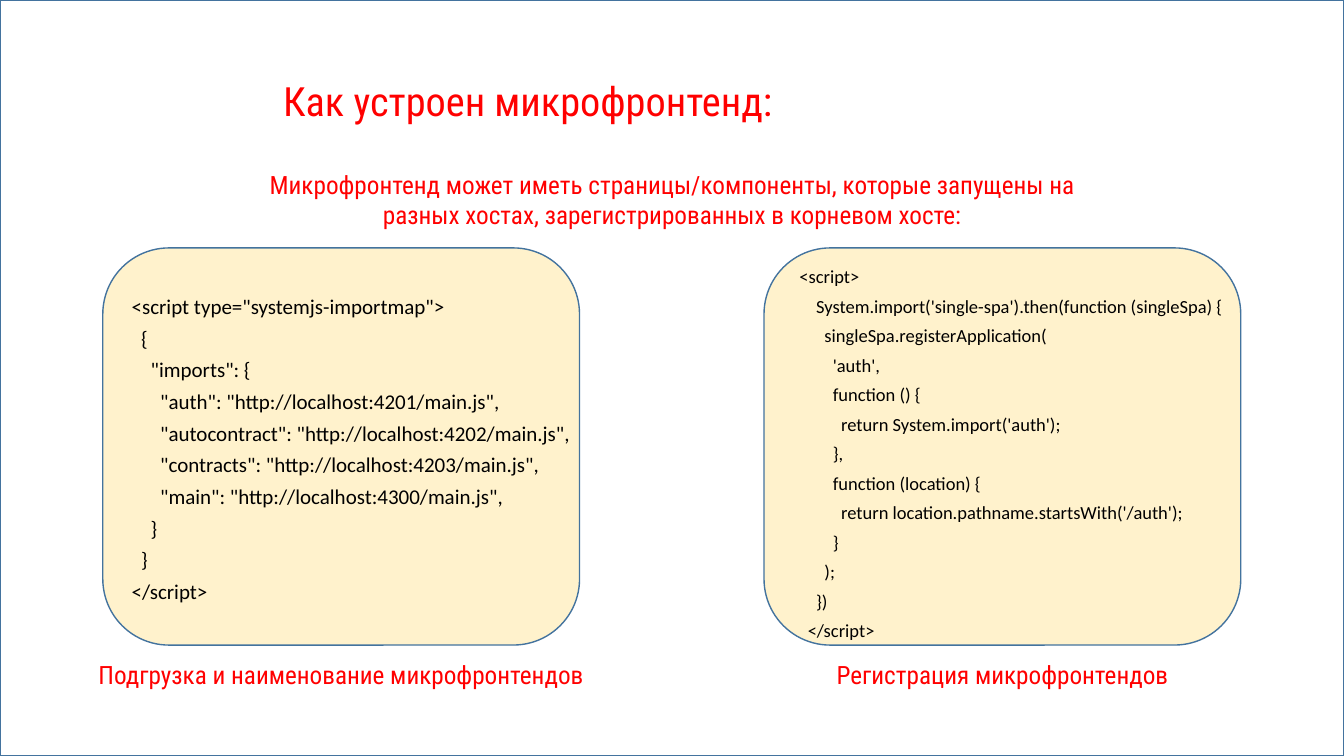
from dataclasses import dataclass

from pptx import Presentation
from pptx.dml.color import RGBColor as RGB
from pptx.enum.shapes import MSO_SHAPE as SHAPE
from pptx.enum.text import MSO_ANCHOR as ANCHOR
from pptx.enum.text import MSO_AUTO_SIZE as AUTO
from pptx.enum.text import PP_ALIGN as ALIGN
from pptx.slide import Slide
from pptx.text.text import TextFrame
from pptx.util import Pt

COLORS = {"page": "FFFFFF", "card": "FFF2CC", "line": "43739E",
          "accent": "FF0000", "code": "000000"}
HEAD_FONT, CODE_FONT = "Roboto Condensed", "Calibri"
WIDTH, HEIGHT = 960, 540
CARD_TOP, CARD_W, CARD_H = 177.12, 340.56, 283.68
CAPTION_TOP, CAPTION_H = 467.28, 51.12
STEP_EM = 0.452


@dataclass(frozen=True)
class Box:
    x: float
    y: float
    w: float
    h: float


@dataclass(frozen=True)
class Line:
    level: int
    text: str


@dataclass(frozen=True)
class Panel:
    card_x: float
    code_box: Box
    size: float
    lines: tuple[Line, ...]
    caption_box: Box
    caption: str


PANELS = (
    Panel(73.44, Box(73.44, 210.96, 355.68, 249.84), 15, (
        Line(2, '<script type="systemjs-importmap">'),
        Line(3, "{"),
        Line(4, '"imports": {'),
        Line(5, '"auth": "http://localhost:4201/main.js",'),
        Line(5, '"autocontract": "http://localhost:4202/main.js",'),
        Line(5, '"contracts": "http://localhost:4203/main.js",'),
        Line(5, '"main": "http://localhost:4300/main.js",'),
        Line(4, "}"),
        Line(3, "}"),
        Line(2, "</script>"),
    ), Box(51.12, CAPTION_TOP, 385.2, CAPTION_H),
        "Подгрузка и наименование микрофронтендов"),
    Panel(545.76, Box(558, 190.08, 374.4, 286.56), 13.2, (
        Line(1, "<script>"),
        Line(3, "System.import('single-spa').then(function (singleSpa) {"),
        Line(4, "singleSpa.registerApplication("),
        Line(5, "'auth',"),
        Line(5, "function () {"),
        Line(6, "return System.import('auth');"),
        Line(5, "},"),
        Line(5, "function (location) {"),
        Line(6, "return location.pathname.startsWith('/auth');"),
        Line(5, "}"),
        Line(4, ");"),
        Line(3, "})"),
        Line(2, "</script>"),
    ), Box(568.08, CAPTION_TOP, 295.92, CAPTION_H),
        "Регистрация микрофронтендов"),
)


def add_panel_shape(s: Slide, kind: SHAPE, box: Box, fill: str) -> None:
    sp = s.shapes.add_shape(kind, Pt(box.x), Pt(box.y), Pt(box.w), Pt(box.h))
    sp.shadow.inherit = False
    sp.fill.solid()
    sp.fill.fore_color.rgb = RGB.from_string(COLORS[fill])
    sp.line.color.rgb = RGB.from_string(COLORS["line"])
    sp.line.width = Pt(1)


def add_frame(s: Slide, box: Box) -> TextFrame:
    tf = s.shapes.add_textbox(Pt(box.x), Pt(box.y), Pt(box.w), Pt(box.h)).text_frame
    tf.word_wrap = True
    return tf


def add_run(p, text: str, size: float, font: str, color: str) -> None:
    r = p.add_run()
    r.text = text
    r.font.size = Pt(size)
    r.font.name = font
    r.font.color.rgb = RGB.from_string(COLORS[color])


def add_title(s: Slide, box: Box, text: str) -> None:
    tf = add_frame(s, box)
    tf.vertical_anchor = ANCHOR.BOTTOM
    p = tf.paragraphs[0]
    p.line_spacing = 0.9
    add_run(p, text, 28.8, HEAD_FONT, "accent")


def add_caption(s: Slide, box: Box, text: str) -> None:
    tf = add_frame(s, box)
    tf.auto_size = AUTO.SHAPE_TO_FIT_TEXT
    p = tf.paragraphs[0]
    p.alignment = ALIGN.CENTER
    add_run(p, text, 18, HEAD_FONT, "accent")


def add_code(s: Slide, box: Box, lines: tuple[Line, ...], size: float) -> None:
    tf = add_frame(s, box)
    for i, line in enumerate(lines):
        p = tf.add_paragraph() if i else tf.paragraphs[0]
        p.line_spacing = 0.7
        p.space_before = Pt(10)
        indent = Pt(line.level * STEP_EM * size)
        p._p.get_or_add_pPr().set("marL", str(int(indent)))
        add_run(p, line.text, size, CODE_FONT, "code")


def main() -> None:
    prs = Presentation()
    prs.slide_width, prs.slide_height = Pt(WIDTH), Pt(HEIGHT)
    s = prs.slides.add_slide(prs.slide_layouts[6])
    add_panel_shape(s, SHAPE.RECTANGLE, Box(0, 0, WIDTH, HEIGHT), "page")
    add_title(s, Box(195.12, 52.56, 644.4, 40.32), "Как устроен микрофронтенд:")
    add_caption(s, Box(166.32, 117.36, 627.84, 72.72),
                "Микрофронтенд может иметь страницы/компоненты, которые запущены "
                "на разных хостах, зарегистрированных в корневом хосте:")
    for panel in PANELS:
        card = Box(panel.card_x, CARD_TOP, CARD_W, CARD_H)
        add_panel_shape(s, SHAPE.ROUNDED_RECTANGLE, card, "card")
        add_code(s, panel.code_box, panel.lines, panel.size)
        add_caption(s, panel.caption_box, panel.caption)
    prs.save("out.pptx")


if __name__ == "__main__":
    main()
